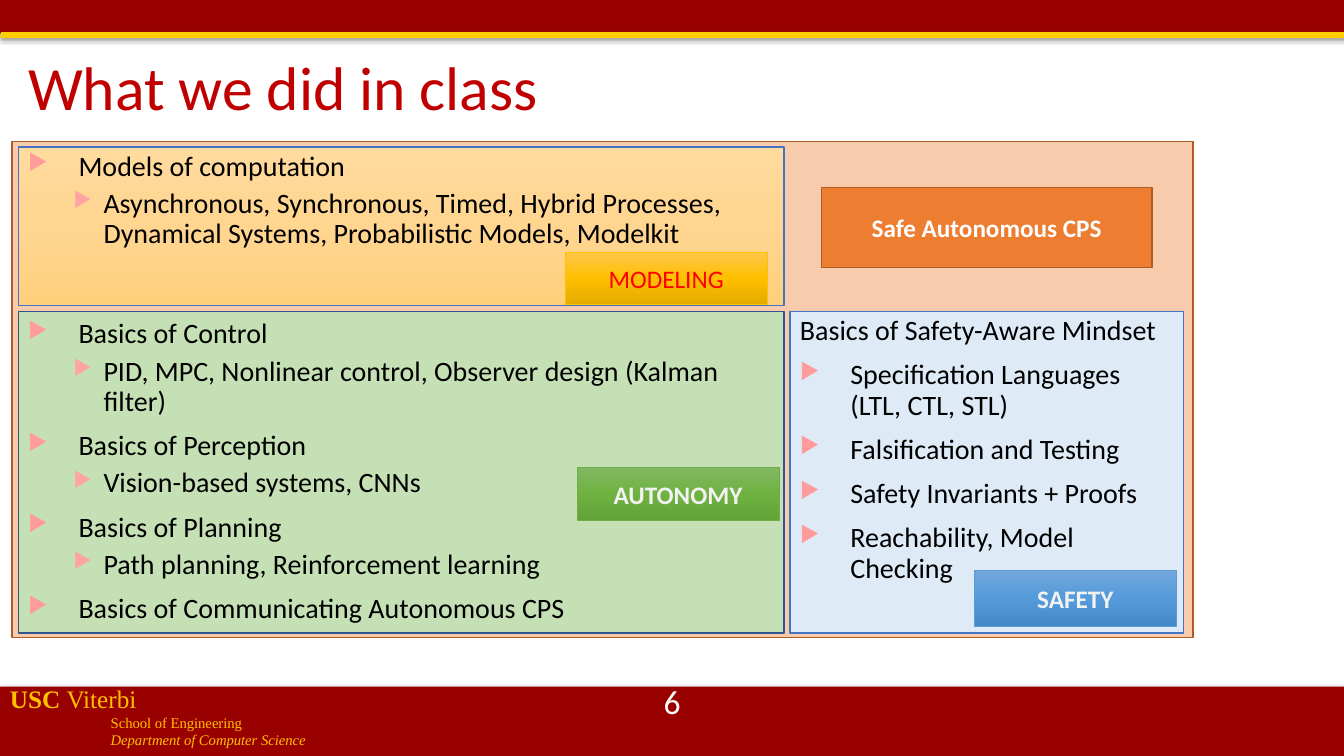
from copy import deepcopy
from lxml.etree import SubElement
from pptx import Presentation
from pptx.dml.color import RGBColor
from pptx.enum.shapes import MSO_SHAPE
from pptx.enum.text import MSO_ANCHOR, PP_ALIGN
from pptx.oxml.ns import qn
from pptx.util import Cm, Pt

CARDINAL = RGBColor(0x99, 0x00, 0x00)
GOLD = RGBColor(0xFF, 0xCC, 0x00)
FOOTER_GOLD = RGBColor(0xFF, 0xC0, 0x00)
TITLE_RED = RGBColor(0xC0, 0x00, 0x00)
RED = RGBColor(0xFF, 0x00, 0x00)
BLACK = RGBColor(0x00, 0x00, 0x00)
WHITE = RGBColor(0xFF, 0xFF, 0xFF)
OFF_WHITE = RGBColor(0xF2, 0xF2, 0xF2)
PEACH = RGBColor(0xF8, 0xCB, 0xAD)
ORANGE = RGBColor(0xED, 0x7D, 0x31)
BROWN = RGBColor(0xAF, 0x5C, 0x24)
PALE_GREEN = RGBColor(0xC5, 0xE0, 0xB4)
PALE_BLUE = RGBColor(0xDE, 0xEB, 0xF7)
NAVY = RGBColor(0x32, 0x54, 0x91)
BLUE = RGBColor(0x44, 0x72, 0xC4)
GREEN = RGBColor(0x70, 0xAD, 0x47)
SKY = RGBColor(0x5B, 0x9B, 0xD5)
SAND_BLEND = [RGBColor(0xFF, 0xDB, 0x9E), RGBColor(0xFF, 0xD5, 0x90), RGBColor(0xFF, 0xD0, 0x7C)]
GOLD_BLEND = [RGBColor(0xFF, 0xC6, 0x4B), RGBColor(0xFF, 0xC0, 0x00), RGBColor(0xE3, 0xAB, 0x00)]
GREEN_BLEND = [RGBColor(0x81, 0xB8, 0x61), RGBColor(0x6F, 0xB2, 0x42), RGBColor(0x62, 0xA3, 0x36)]
BLUE_BLEND = [RGBColor(0x71, 0xA6, 0xDB), RGBColor(0x55, 0x9B, 0xDB), RGBColor(0x44, 0x8A, 0xCA)]

PLAIN, TOPIC, DETAIL = "plain", "topic", "detail"
LEVELS = {
    PLAIN: {"space": 10},
    TOPIC: {"space": 10, "left": 1.27, "hang": 1.27, "color": RGBColor(0xFF, 0x9B, 0x9B), "percent": 80},
    DETAIL: {"space": 5, "left": 1.9, "hang": 0.76, "color": RGBColor(0xFF, 0xA3, 0xA3), "percent": 75},
}

deck = Presentation()
deck.slide_width, deck.slide_height = Cm(33.87), Cm(19.05)
page = deck.slides.add_slide(deck.slide_layouts[6])


def add_block(frame, fill, line=None, width=1):
    block = page.shapes.add_shape(MSO_SHAPE.RECTANGLE, *map(Cm, frame))
    block.shadow.inherit = False
    if isinstance(fill, list):
        block.fill.gradient()
        block.fill.gradient_angle = 270
        stops = block._element.spPr.find(qn("a:gradFill")).find(qn("a:gsLst"))
        stops.insert(1, deepcopy(stops[0]))
        for stop, position, color in zip(block.fill.gradient_stops, (0, 0.5, 1), fill):
            stop.position = position
            stop.color.rgb = color
    else:
        block.fill.solid()
        block.fill.fore_color.rgb = fill
    if line is None:
        block.line.fill.background()
    else:
        block.line.color.rgb = line
        block.line.width = Pt(width)
    return block


def write(para, text, color, **values):
    span = para.add_run()
    span.text = text
    span.font.color.rgb = color
    for name, value in ({"name": "Calibri"} | values).items():
        setattr(span.font, name, value)


for frame, color, opacity, distance in [
    ((0, 0, 33.87, 0.84), CARDINAL, 35, 1.8),
    ((0.03, 0.81, 33.87, 0.15), GOLD, 38, 1.6),
    ((0, 17.3, 33.87, 1.75), CARDINAL, 35, 1.8),
]:
    bar = add_block(frame, color)
    effects = bar._element.spPr.find(qn("a:effectLst"))
    shade = SubElement(effects, qn("a:outerShdw"), blurRad=str(Pt(3.1)), dist=str(Pt(distance)), dir="5400000", rotWithShape="0")
    tone = SubElement(shade, qn("a:srgbClr"), val="000000")
    SubElement(tone, qn("a:alpha"), val=str(opacity * 1000))

footer = page.shapes.add_textbox(Cm(0), Cm(17.09), Cm(15.88), Cm(1.96)).text_frame
footer.word_wrap = True
for index, (size, spans) in enumerate([
    (18, [("USC ", {"bold": True}), ("Viterbi", {})]),
    (10.5, [("School of Engineering", {})]),
    (10.5, [("Department of Computer Science", {"italic": True})]),
]):
    para = footer.add_paragraph() if index else footer.paragraphs[0]
    if index:
        para._p.get_or_add_pPr().set("marL", str(Cm(2.54)))
    for text, values in spans:
        write(para, text, FOOTER_GOLD, name="Times New Roman", size=Pt(size), **values)

add_block((0.3, 3.56, 29.77, 12.5), PEACH, BROWN)

for frame, fill, line, anchor, lines in [
    ((0.46, 7.85, 19.3, 8.1), PALE_GREEN, NAVY, MSO_ANCHOR.MIDDLE, [
        (TOPIC, "Basics of Control"),
        (DETAIL, "PID, MPC, Nonlinear control, Observer design (Kalman filter)"),
        (TOPIC, "Basics of Perception"),
        (DETAIL, "Vision-based systems, CNNs"),
        (TOPIC, "Basics of Planning"),
        (DETAIL, "Path planning, Reinforcement learning"),
        (TOPIC, "Basics of Communicating Autonomous CPS"),
    ]),
    ((0.46, 3.71, 19.3, 3.99), SAND_BLEND, BLUE, MSO_ANCHOR.TOP, [
        (TOPIC, "Models of computation"),
        (DETAIL, "Asynchronous, Synchronous, Timed, Hybrid Processes, "
                 "Dynamical Systems, Probabilistic Models, Modelkit"),
    ]),
    ((19.91, 7.85, 9.91, 8.1), PALE_BLUE, BLUE, MSO_ANCHOR.TOP, [
        (PLAIN, "Basics of Safety-Aware Mindset"),
        (TOPIC, "Specification Languages (LTL, CTL, STL)"),
        (TOPIC, "Falsification and Testing"),
        (TOPIC, "Safety Invariants + Proofs"),
        (TOPIC, "Reachability, Model Checking"),
    ]),
]:
    panel = add_block(frame, fill, line).text_frame
    panel.word_wrap = True
    panel.vertical_anchor = anchor
    for index, (level, text) in enumerate(lines):
        style = LEVELS[level]
        para = panel.add_paragraph() if index else panel.paragraphs[0]
        para.alignment = PP_ALIGN.LEFT
        para.line_spacing = 0.9
        if index:
            para.space_before = Pt(style["space"])
        if level != PLAIN:
            para.level = int(level == DETAIL)
            settings = para._p.get_or_add_pPr()
            settings.set("marL", str(Cm(style["left"])))
            settings.set("indent", str(-Cm(style["hang"])))
            SubElement(SubElement(settings, qn("a:buClr")), qn("a:srgbClr"), val=str(style["color"]))
            SubElement(settings, qn("a:buSzPct"), val=str(style["percent"] * 1000))
            SubElement(settings, qn("a:buChar"), char="▶")
        write(para, text, BLACK, size=Pt(20))

for frame, text, color, size, alignment in [
    ((0.46, 1.19, 30.33, 2.16), "What we did in class", TITLE_RED, 44, PP_ALIGN.LEFT),
    ((13.13, 17.22, 7.62, 1.02), "6", WHITE, 24, PP_ALIGN.CENTER),
]:
    box = page.shapes.add_textbox(*map(Cm, frame)).text_frame
    box.word_wrap = True
    box.vertical_anchor = MSO_ANCHOR.MIDDLE
    box.paragraphs[0].alignment = alignment
    box.paragraphs[0].line_spacing = 0.9
    write(box.paragraphs[0], text, color, size=Pt(size))

for frame, fill, line, width, text, color, bold in [
    ((14.25, 6.35, 5.08, 1.32), GOLD_BLEND, FOOTER_GOLD, 0.5, "MODELING", RED, False),
    ((14.55, 11.79, 5.08, 1.32), GREEN_BLEND, GREEN, 0.5, "AUTONOMY", OFF_WHITE, True),
    ((24.56, 14.38, 5.08, 1.4), BLUE_BLEND, SKY, 0.5, "SAFETY", OFF_WHITE, True),
    ((20.7, 4.72, 8.33, 2.03), ORANGE, BROWN, 1, "Safe Autonomous CPS", WHITE, True),
]:
    label = add_block(frame, fill, line, width).text_frame
    label.word_wrap = True
    label.vertical_anchor = MSO_ANCHOR.MIDDLE
    label.paragraphs[0].alignment = PP_ALIGN.CENTER
    write(label.paragraphs[0], text, color, size=Pt(18), bold=bold)

deck.save("out.pptx")
